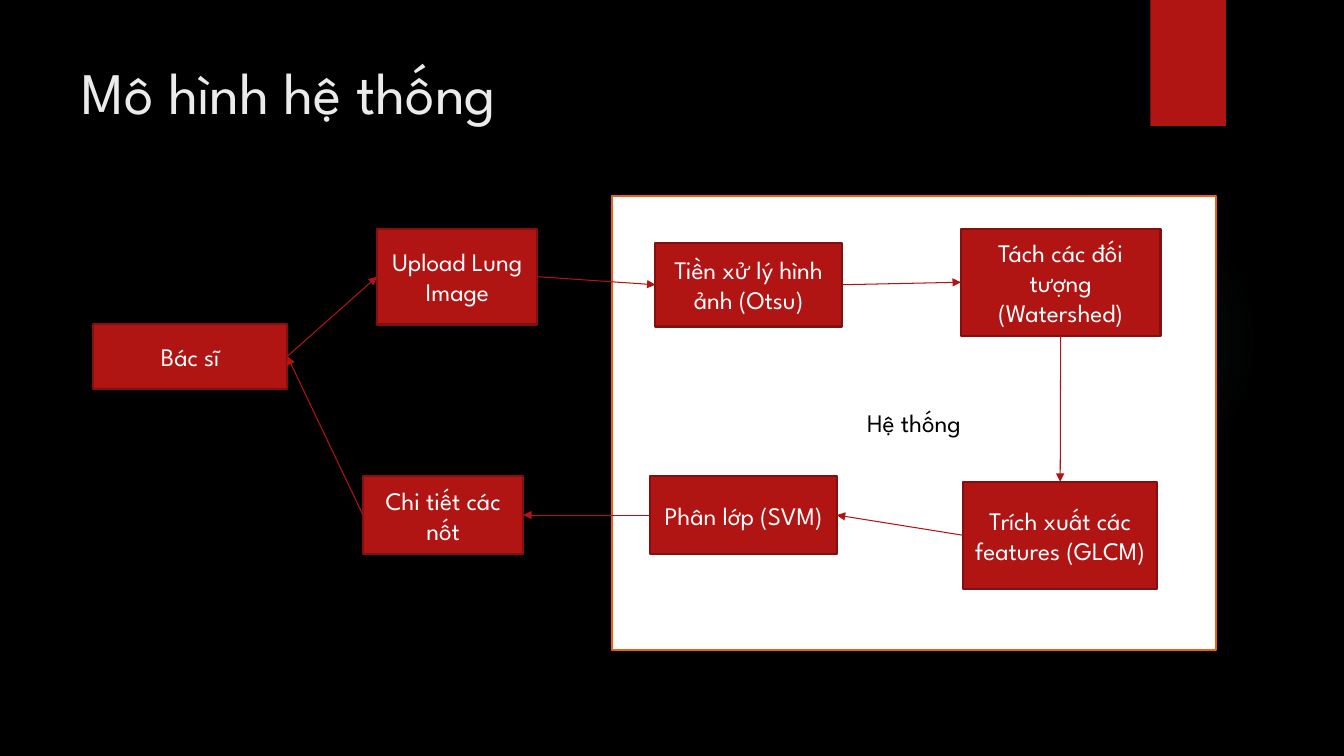
from lxml import etree
from pptx import Presentation
from pptx.dml.color import RGBColor
from pptx.enum.shapes import MSO_CONNECTOR, MSO_SHAPE
from pptx.enum.text import MSO_ANCHOR, PP_ALIGN
from pptx.oxml import parse_xml
from pptx.oxml.ns import nsdecls, qn
from pptx.util import Inches, Pt

RECTANGLE = MSO_SHAPE.RECTANGLE
OVAL = MSO_SHAPE.OVAL
STRAIGHT = MSO_CONNECTOR.STRAIGHT
MIDDLE = MSO_ANCHOR.MIDDLE
TOP_ANCHOR = MSO_ANCHOR.TOP
CENTER = PP_ALIGN.CENTER
LEFT_ALIGN = PP_ALIGN.LEFT
TOP, LEFT, BOTTOM, RIGHT = range(4)

FONT = "League Spartan"
COLORS = {
    "background": "000000",
    "red": "B01513",
    "dark_red": "82100E",
    "orange": "EA6312",
    "white": "FFFFFF",
    "black": "000000",
    "title": "EBEBEB",
    "glow": "50B9C1",
}


def write_text(shape, text, size, color, alignment, anchor):
    text_frame = shape.text_frame
    text_frame.text = text
    text_frame.word_wrap = True
    text_frame.vertical_anchor = anchor
    paragraph = text_frame.paragraphs[0]
    paragraph.alignment = alignment
    font = paragraph.runs[0].font
    font.name = FONT
    font.size = Pt(size)
    font.color.rgb = RGBColor.from_string(COLORS[color])


def add_box(bounds, fill, line=None, geometry=RECTANGLE):
    shape = slide.shapes.add_shape(geometry, *map(Inches, bounds))
    shape.shadow.inherit = False
    shape.fill.solid()
    shape.fill.fore_color.rgb = RGBColor.from_string(COLORS[fill])
    if line:
        shape.line.color.rgb = RGBColor.from_string(COLORS[line])
        shape.line.width = Pt(1.5)
    else:
        shape.line.fill.background()
    return shape


presentation = Presentation()
presentation.slide_width = Inches(13.33)
presentation.slide_height = Inches(7.5)
slide = presentation.slides.add_slide(presentation.slide_layouts[5])
slide.background.fill.solid()
slide.background.fill.fore_color.rgb = RGBColor.from_string(COLORS["background"])

title = slide.shapes.title
title.left, title.top, title.width, title.height = map(Inches, (0.71, 0.5, 10.29, 1.53))
write_text(title, "Mô hình hệ thống", 42, "title", LEFT_ALIGN, TOP_ANCHOR)

glow = add_box((9.41, 1.83, 3.08, 3.08), "glow", geometry=OVAL)
stops = "".join(
    f'<a:gs pos="{position * 1000}"><a:srgbClr val="{COLORS["glow"]}">'
    f'<a:alpha val="{alpha * 1000}"/></a:srgbClr></a:gs>'
    for position, alpha in ((0, 7), (36, 6), (69, 0), (100, 0))
)
gradient = parse_xml(
    f'<a:gradFill {nsdecls("a")}><a:gsLst>{stops}</a:gsLst><a:path path="circle">'
    '<a:fillToRect l="50000" t="50000" r="50000" b="50000"/></a:path></a:gradFill>'
)
glow_properties = glow.element.spPr
glow_properties.replace(glow_properties.find(qn("a:solidFill")), gradient)

add_box((11.41, 0, 0.75, 1.25), "red")
system = add_box((6.07, 1.94, 5.99, 4.51), "white", "orange")
write_text(system, "Hệ thống", 18, "black", CENTER, MIDDLE)

steps = {
    "doctor": ("Bác sĩ", (0.92, 3.21, 1.93, 0.65)),
    "upload": ("Upload Lung Image", (3.74, 2.27, 1.59, 0.95)),
    "preprocess": ("Tiền xử lý hình ảnh (Otsu)", (6.5, 2.41, 1.85, 0.83)),
    "segment": ("Tách các đối tượng (Watershed)", (9.53, 2.27, 1.98, 1.06)),
    "features": ("Trích xuất các features (GLCM)", (9.55, 4.78, 1.93, 1.06)),
    "classify": ("Phân lớp (SVM)", (6.45, 4.72, 1.85, 0.78)),
    "details": ("Chi tiết các nốt", (3.6, 4.72, 1.59, 0.78)),
}
boxes = {}
for name, (text, bounds) in steps.items():
    boxes[name] = add_box(bounds, "red", "dark_red")
    write_text(boxes[name], text, 18, "white", CENTER, MIDDLE)

arrows = [
    ("doctor", RIGHT, "upload", LEFT),
    ("upload", RIGHT, "preprocess", LEFT),
    ("preprocess", RIGHT, "segment", LEFT),
    ("segment", BOTTOM, "features", TOP),
    ("features", LEFT, "classify", RIGHT),
    ("classify", LEFT, "details", RIGHT),
    ("details", LEFT, "doctor", RIGHT),
]
for source, source_side, target, target_side in arrows:
    arrow = slide.shapes.add_connector(STRAIGHT, 0, 0, 0, 0)
    arrow.begin_connect(boxes[source], source_side)
    arrow.end_connect(boxes[target], target_side)
    arrow.line.color.rgb = RGBColor.from_string(COLORS["red"])
    arrow.line.width = Pt(0.75)
    arrow_properties = arrow.element.spPr
    etree.SubElement(arrow_properties.find(qn("a:ln")), qn("a:tailEnd"), type="triangle")
    etree.SubElement(arrow_properties, qn("a:effectLst"))

presentation.save("out.pptx")
